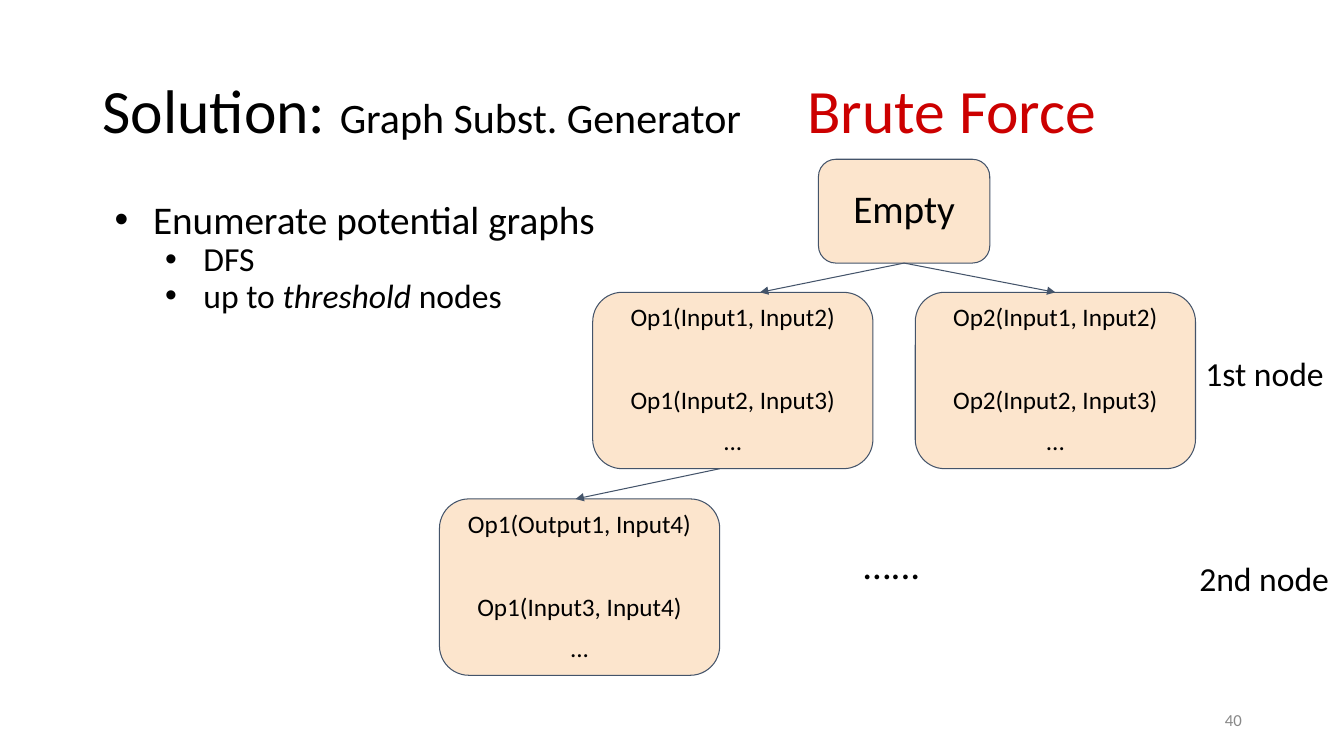
from dataclasses import dataclass

from lxml.etree import SubElement
from pptx import Presentation
from pptx.dml.color import RGBColor
from pptx.enum.shapes import MSO_CONNECTOR, MSO_SHAPE
from pptx.enum.text import MSO_ANCHOR, PP_ALIGN
from pptx.oxml.ns import qn
from pptx.shapes.base import BaseShape
from pptx.slide import Slide
from pptx.text.text import TextFrame
from pptx.util import Inches, Pt

SLIDE_WIDTH = Inches(13.333)
SLIDE_HEIGHT = Inches(7.5)
FONT_NAME = "Calibri"
BLACK = RGBColor(0x00, 0x00, 0x00)
RED = RGBColor(0xCC, 0x00, 0x00)
GRAY = RGBColor(0x88, 0x88, 0x88)
PEACH = RGBColor(0xFC, 0xE5, 0xCD)
SLATE = RGBColor(0x44, 0x54, 0x6A)


@dataclass(frozen=True)
class Area:
    """Left, top, width and height in percent of the slide."""

    left: float
    top: float
    width: float
    height: float

    @property
    def middle(self) -> float:
        return self.left + self.width / 2

    @property
    def bottom(self) -> float:
        return self.top + self.height


@dataclass(frozen=True)
class Run:
    text: str
    size: float
    color: RGBColor = BLACK
    italic: bool = False


@dataclass(frozen=True)
class Line:
    runs: tuple[Run, ...]
    space_before: float = 0
    bullet_level: int | None = None


@dataclass(frozen=True)
class Label:
    area: Area
    lines: tuple[Line, ...]
    anchor: MSO_ANCHOR = MSO_ANCHOR.TOP
    alignment: PP_ALIGN = PP_ALIGN.LEFT


@dataclass(frozen=True)
class GraphNode:
    area: Area
    lines: tuple[Line, ...]


@dataclass(frozen=True)
class Arrow:
    start: tuple[float, float]
    end: tuple[float, float]


def across(percent: float) -> int:
    return round(SLIDE_WIDTH * percent / 100)


def down(percent: float) -> int:
    return round(SLIDE_HEIGHT * percent / 100)


def place(area: Area) -> tuple[int, int, int, int]:
    return across(area.left), down(area.top), across(area.width), down(area.height)


def single(text: str, size: float, color: RGBColor = BLACK) -> tuple[Line, ...]:
    return (Line((Run(text, size, color),)),)


def operations(first: str, second: str) -> tuple[Line, ...]:
    return tuple(
        Line((Run(text, 18),), space)
        for text, space in ((first, 0), (second, 39.8), ("...", 10))
    )


def write_text(frame: TextFrame, lines: tuple[Line, ...], alignment: PP_ALIGN) -> None:
    frame.word_wrap = True
    for index, line in enumerate(lines):
        paragraph = frame.add_paragraph() if index else frame.paragraphs[0]
        if line.bullet_level is not None:
            properties = paragraph._p.get_or_add_pPr()
            properties.set("marL", str(Inches(0.5 + 0.5 * line.bullet_level)))
            properties.set("indent", str(Inches(-0.38)))
            bullet_color = SubElement(properties, qn("a:buClr"))
            SubElement(bullet_color, qn("a:srgbClr"), val=str(BLACK))
            SubElement(properties, qn("a:buFont"), typeface="Arial")
            SubElement(properties, qn("a:buChar"), char="•")
            paragraph.level = line.bullet_level
        paragraph.alignment = alignment
        paragraph.line_spacing = 0.9
        paragraph.space_before = Pt(line.space_before)
        for part in line.runs:
            run = paragraph.add_run()
            run.text = part.text
            run.font.name = FONT_NAME
            run.font.size = Pt(part.size)
            run.font.italic = part.italic
            run.font.color.rgb = part.color


def draw_label(slide: Slide, label: Label) -> BaseShape:
    shape = slide.shapes.add_textbox(*place(label.area))
    shape.text_frame.vertical_anchor = label.anchor
    write_text(shape.text_frame, label.lines, label.alignment)
    return shape


def draw_node(slide: Slide, node: GraphNode) -> BaseShape:
    shape = slide.shapes.add_shape(MSO_SHAPE.ROUNDED_RECTANGLE, *place(node.area))
    shape.shadow.inherit = False
    shape.fill.solid()
    shape.fill.fore_color.rgb = PEACH
    shape.line.color.rgb = SLATE
    shape.line.width = Pt(0.75)
    frame = shape.text_frame
    frame.margin_left = frame.margin_right = Inches(0.1)
    frame.margin_top = frame.margin_bottom = Inches(0.1)
    frame.vertical_anchor = MSO_ANCHOR.MIDDLE
    write_text(frame, node.lines, PP_ALIGN.CENTER)
    return shape


def draw_arrow(slide: Slide, arrow: Arrow) -> None:
    connector = slide.shapes.add_connector(
        MSO_CONNECTOR.STRAIGHT,
        across(arrow.start[0]), down(arrow.start[1]),
        across(arrow.end[0]), down(arrow.end[1]),
    )
    connector.line.color.rgb = SLATE
    connector.line.width = Pt(0.75)
    SubElement(connector.line._get_or_add_ln(), qn("a:tailEnd"), type="triangle")
    SubElement(connector._element.spPr, qn("a:effectLst"))


ROOT = Area(60.9, 21.07, 12.75, 13.73)
FIRST_LEFT = Area(44.1, 38.67, 20.85, 23.33)
FIRST_RIGHT = Area(68.1, 38.67, 20.85, 23.33)
SECOND = Area(32.7, 66, 20.85, 23.33)

NODES = (
    GraphNode(ROOT, single("Empty", 28)),
    GraphNode(FIRST_LEFT, operations("Op1(Input1, Input2)", "Op1(Input2, Input3)")),
    GraphNode(FIRST_RIGHT, operations("Op2(Input1, Input2)", "Op2(Input2, Input3)")),
    GraphNode(SECOND, operations("Op1(Output1, Input4)", "Op1(Input3, Input4)")),
)
ARROWS = (
    Arrow((ROOT.middle, ROOT.bottom), (56.55, FIRST_LEFT.top)),
    Arrow((ROOT.middle, ROOT.bottom), (FIRST_RIGHT.middle, FIRST_RIGHT.top)),
    Arrow((53.55, FIRST_LEFT.bottom), (42.83, SECOND.top)),
)
TITLE = Line((Run("Solution: ", 44), Run("Graph Subst. Generator", 30)))
BULLETS = (
    Line((Run("Enumerate potential graphs", 28),), bullet_level=0),
    Line((Run("DFS", 24),), bullet_level=1),
    Line((Run("up to ", 24), Run("threshold", 24, italic=True), Run(" nodes", 24)),
         bullet_level=1),
)
LABELS = (
    Label(Area(6.9, 5.33, 86.25, 19.33), (TITLE,), MSO_ANCHOR.MIDDLE),
    Label(Area(59.33, 5.33, 37.05, 19.33), single("Brute Force", 44, RED),
          MSO_ANCHOR.MIDDLE),
    Label(Area(6.9, 25.87, 39.68, 24.8), BULLETS),
    Label(Area(59.78, 71.47, 22.5, 19.33), single("…...", 28)),
    Label(Area(88.95, 46.67, 11.05, 19.33), single("1st node", 24)),
    Label(Area(88.5, 73.73, 11.5, 19.33), single("2nd node", 24)),
    Label(Area(70.65, 92.67, 22.5, 5.33), single("40", 12, GRAY),
          MSO_ANCHOR.MIDDLE, PP_ALIGN.RIGHT),
)


def main() -> None:
    presentation = Presentation()
    presentation.slide_width = SLIDE_WIDTH
    presentation.slide_height = SLIDE_HEIGHT
    slide = presentation.slides.add_slide(presentation.slide_layouts[6])
    for label in LABELS:
        shape = draw_label(slide, label)
        if label.lines[0].runs[0].text == "…...":
            shape.text_frame.paragraphs[0]._p.get_or_add_pPr().set("marL", str(Inches(0.5)))
    for node in NODES:
        draw_node(slide, node)
    for arrow in ARROWS:
        draw_arrow(slide, arrow)
    presentation.save("out.pptx")


if __name__ == "__main__":
    main()
